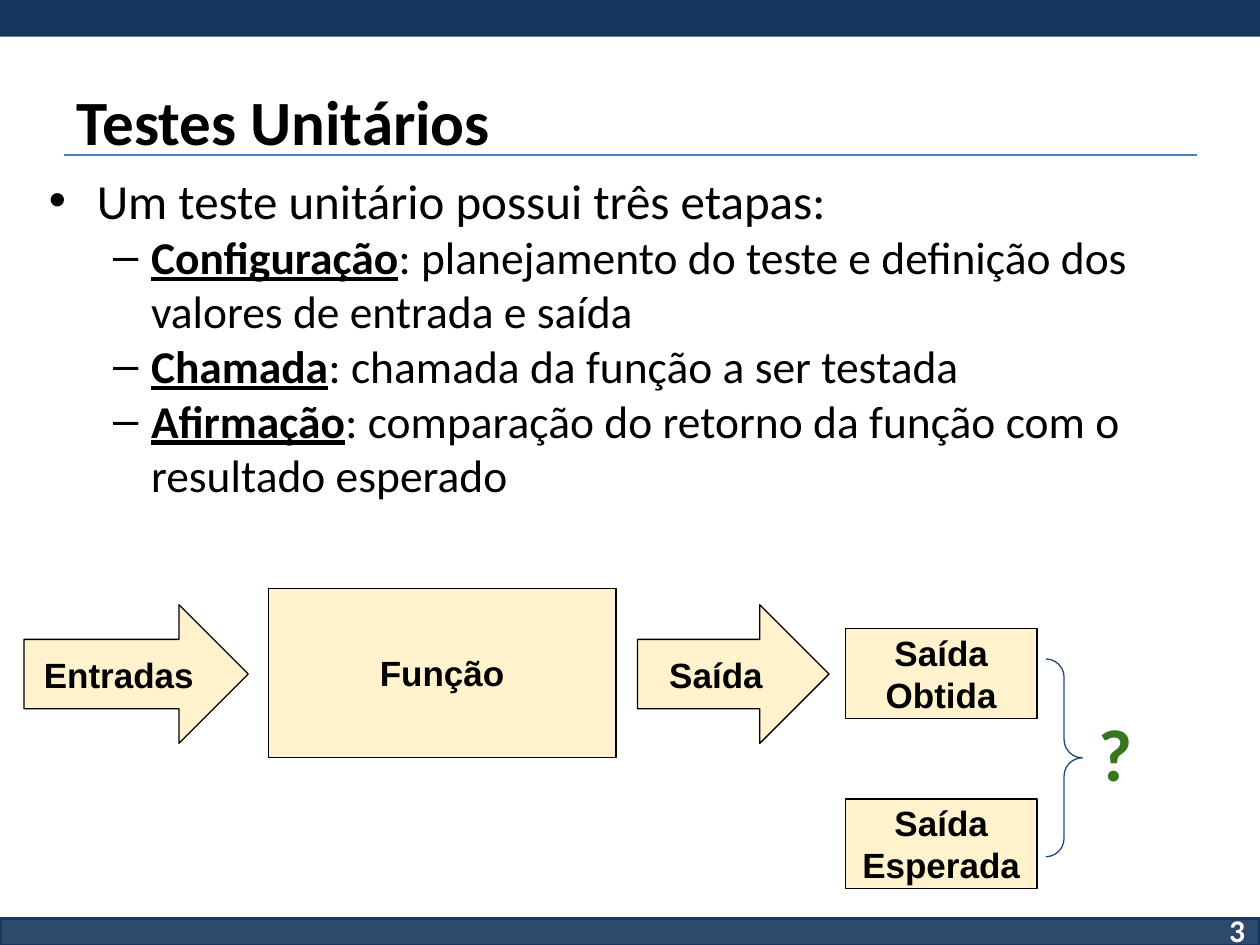
from dataclasses import dataclass
from lxml.etree import SubElement
from pptx import Presentation
from pptx.dml.color import RGBColor
from pptx.enum.shapes import MSO_CONNECTOR, MSO_SHAPE
from pptx.enum.text import MSO_ANCHOR, PP_ALIGN
from pptx.oxml.ns import qn
from pptx.util import Inches, Pt

NAVY = RGBColor(0x17, 0x36, 0x5D)
BLUE = RGBColor(0x4A, 0x7D, 0xBA)
INK = RGBColor(0x1F, 0x49, 0x7D)
CREAM = RGBColor(0xFF, 0xF2, 0xCC)
GREEN = RGBColor(0x38, 0x76, 0x1D)
BLACK = RGBColor(0, 0, 0)
WHITE = RGBColor(0xFF, 0xFF, 0xFF)

COLS, ROWS = 100, 75
WIDE, HIGH = Inches(10), Inches(7.5)


@dataclass
class Area:
    col: float
    row: float
    cols: float
    rows: float

    def place(self) -> tuple[int, int, int, int]:
        return (round(self.col * WIDE / COLS), round(self.row * HIGH / ROWS),
                round(self.cols * WIDE / COLS), round(self.rows * HIGH / ROWS))


@dataclass
class Block:
    kind: MSO_SHAPE
    area: Area
    text: str = ""
    fill: RGBColor | None = CREAM
    line: RGBColor | None = BLACK
    width: float = 0.75
    alpha: int = 100


@dataclass
class Label:
    area: Area
    text: str
    size: int
    color: RGBColor
    align: PP_ALIGN = PP_ALIGN.LEFT
    anchor: MSO_ANCHOR = MSO_ANCHOR.TOP
    pad: float = 0.05


@dataclass
class Item:
    term: str
    text: str
    size: int = 26
    level: int = 1
    left: float = 0.81
    hang: float = 0.3
    mark: str = "–"
    before: int = 0


def apply(target, **values) -> None:
    for name, value in values.items():
        setattr(target, name, value)


def set_frame(frame, pad: float, anchor: MSO_ANCHOR) -> None:
    apply(frame, word_wrap=True, vertical_anchor=anchor,
          margin_left=Inches(0.1), margin_right=Inches(0.1),
          margin_top=Inches(pad), margin_bottom=Inches(pad))


def add_run(para, text: str, face: str, size: int, color: RGBColor, **extra) -> None:
    run = para.add_run()
    run.text = text
    apply(run.font, name=face, size=Pt(size), **extra)
    run.font.color.rgb = color


def add_block(slide, block: Block) -> None:
    shape = slide.shapes.add_shape(block.kind, *block.area.place())
    shape.shadow.inherit = False
    if block.fill is None:
        shape.fill.background()
    else:
        shape.fill.solid()
        shape.fill.fore_color.rgb = block.fill
    if block.alpha < 100:
        tint = shape.fill._xPr.find(".//" + qn("a:srgbClr"))
        SubElement(tint, qn("a:alpha"), val=str(block.alpha * 1000))
    if block.line is None:
        shape.line.fill.background()
    else:
        shape.line.color.rgb = block.line
        shape.line.width = Pt(block.width)
    if block.kind == MSO_SHAPE.RIGHT_BRACE:
        for spot in range(2):
            shape.adjustments[spot] = 0.5
    if block.text:
        set_frame(shape.text_frame, 0.1, MSO_ANCHOR.MIDDLE)
        para = shape.text_frame.paragraphs[0]
        para.alignment = PP_ALIGN.CENTER
        add_run(para, block.text, "Arial", 20, BLACK, bold=True)


def add_label(slide, label: Label) -> None:
    frame = slide.shapes.add_textbox(*label.area.place()).text_frame
    set_frame(frame, label.pad, label.anchor)
    para = frame.paragraphs[0]
    para.alignment = label.align
    add_run(para, label.text, "Calibri", label.size, label.color, bold=True)


def add_list(slide, area: Area, items: list[Item]) -> None:
    frame = slide.shapes.add_textbox(*area.place()).text_frame
    set_frame(frame, 0.05, MSO_ANCHOR.TOP)
    for spot, item in enumerate(items):
        para = frame.add_paragraph() if spot else frame.paragraphs[0]
        apply(para, level=item.level, space_before=Pt(item.before))
        props = para._p.get_or_add_pPr()
        props.set("marL", str(Inches(item.left)))
        props.set("indent", str(-Inches(item.hang)))
        tint = SubElement(props, qn("a:buClr"))
        SubElement(tint, qn("a:srgbClr"), val=str(BLACK))
        SubElement(props, qn("a:buFont"), typeface="Arial")
        SubElement(props, qn("a:buChar"), char=item.mark)
        if item.term:
            add_run(para, item.term, "Calibri", item.size, BLACK,
                    bold=True, underline=True)
        add_run(para, item.text, "Calibri", item.size, BLACK)


def add_rule(slide, area: Area) -> None:
    left, top, wide, high = area.place()
    rule = slide.shapes.add_connector(
        MSO_CONNECTOR.STRAIGHT, left, top, left + wide, top + high)
    rule.line.color.rgb = BLUE
    rule.line.width = Pt(0.75)
    SubElement(rule._element.spPr, qn("a:effectLst"))


BOX, ARROW = MSO_SHAPE.RECTANGLE, MSO_SHAPE.RIGHT_ARROW
BLOCKS = [
    Block(BOX, Area(0, 72.9, COLS, 2.2), fill=NAVY, line=NAVY, width=2, alpha=90),
    Block(BOX, Area(0, 0, COLS, 2.9), fill=NAVY, line=None),
    Block(BOX, Area(21.3, 46.7, 27.6, 13.4), "Função"),
    Block(ARROW, Area(1.9, 48, 17.8, 11), "Entradas"),
    Block(ARROW, Area(50.6, 48, 15.2, 11), "Saída"),
    *(Block(BOX, Area(67.1, 49.9 + 13.5 * step, 15.2, 7.1), f"Saída {word}")
      for step, word in enumerate(("Obtida", "Esperada"))),
    Block(MSO_SHAPE.RIGHT_BRACE, Area(83, 52.3, 2.9, 15.7), fill=None, line=INK),
]
LABELS = [
    Label(Area(5.1, 6, 89.9, 7.1), "Testes Unitários", 36, BLACK,
          anchor=MSO_ANCHOR.MIDDLE),
    Label(Area(76.5, 71.8, 23.3, 4), "3", 18, WHITE, PP_ALIGN.RIGHT),
    Label(Area(86.2, 55.2, 14.5, 8.2), "?", 42, GREEN, pad=0.1),
]
ITEMS = [
    Item("", "Um teste unitário possui três etapas:", 28, 0, 0.38, 0.38, "•", 2),
    Item("Configuração",
         ": planejamento do teste e definição dos valores de entrada e saída"),
    Item("Chamada", ": chamada da função a ser testada"),
    Item("Afirmação",
         ": comparação do retorno da função com o resultado esperado"),
]


def main() -> None:
    deck = Presentation()
    apply(deck, slide_width=WIDE, slide_height=HIGH)
    slide = deck.slides.add_slide(deck.slide_layouts[6])
    for block in BLOCKS:
        add_block(slide, block)
    add_rule(slide, Area(5.1, 12.3, 89.9, 0))
    for label in LABELS:
        add_label(slide, label)
    add_list(slide, Area(2.9, 13, 94.5, 30.9), ITEMS)
    deck.save("out.pptx")


main()
